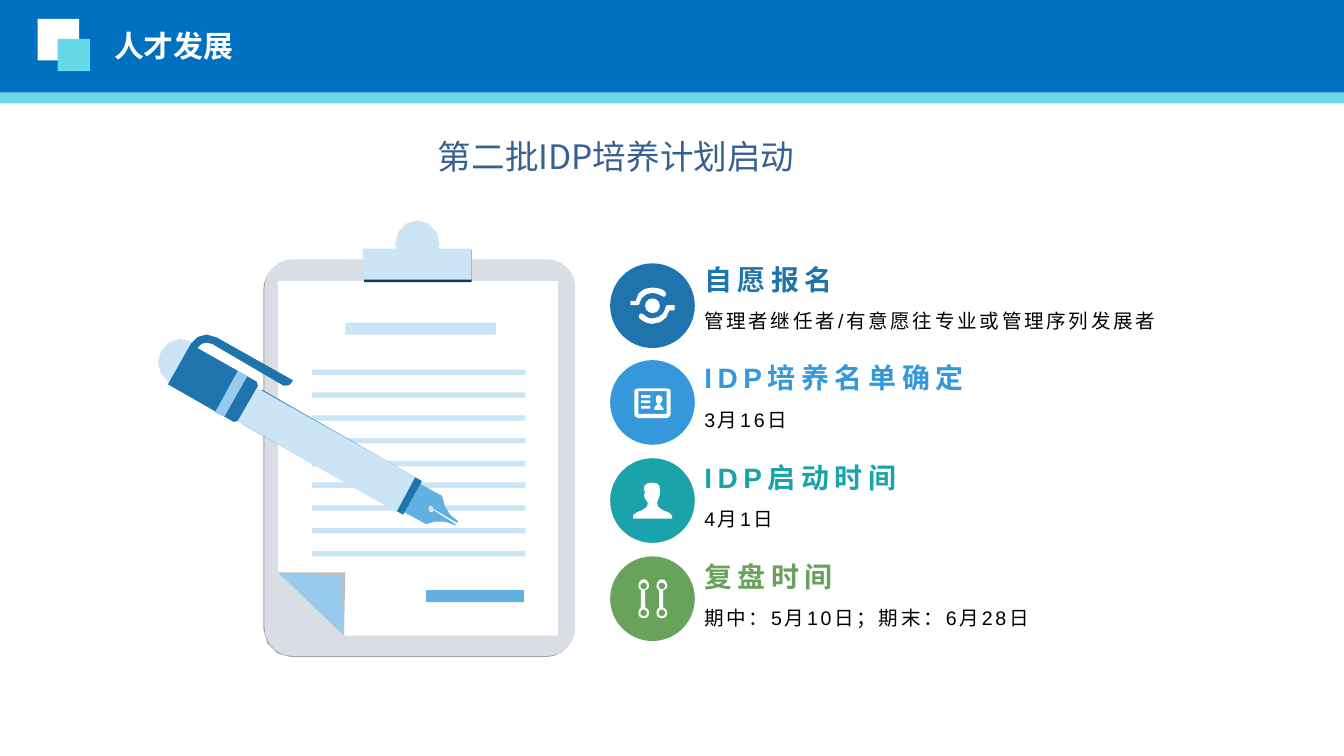
from dataclasses import dataclass

from pptx import Presentation
from pptx.dml.color import RGBColor
from pptx.enum.shapes import MSO_SHAPE
from pptx.enum.text import MSO_AUTO_SIZE
from pptx.oxml.ns import qn
from pptx.util import Pt

RECT = MSO_SHAPE.RECTANGLE
OVAL = MSO_SHAPE.OVAL
ROUNDED = MSO_SHAPE.ROUNDED_RECTANGLE
GROW = MSO_AUTO_SIZE.SHAPE_TO_FIT_TEXT

PX = 9144  # EMU per px, 100 px to the inch
CURVE_STEPS = 3


@dataclass(frozen=True)
class Theme:
    cjk: str = "Noto Sans CJK SC"
    latin: str = "Arial"
    white: str = "FFFFFF"
    black: str = "000000"
    banner: str = "0070C0"
    accent: str = "66D9E8"
    title: str = "376092"
    navy: str = "1F74AD"
    blue: str = "3498DB"
    teal: str = "1AA3AA"
    green: str = "69A35B"
    pale: str = "CBE5F6"
    light: str = "97CAEC"
    mid: str = "63B0E3"
    board: str = "D9DDE4"
    edge: str = "A6A6A6"
    fold: str = "BFBFBF"
    clip_shade: str = "103A56"
    banner_size: float = 16
    title_size: float = 18
    head_size: float = 15
    body_size: float = 10.5


T = Theme()


def paint(s, color):
    s.shadow.inherit = False
    s.fill.solid()
    s.fill.fore_color.rgb = RGBColor.from_string(color)
    s.line.fill.background()
    return s


def add_block(shapes, kind, box, color):
    return paint(shapes.add_shape(kind, *(v * PX for v in box)), color)


def add_text(shapes, box, text, size, color, font, bold=False, spacing=0,
             insets=None, wrap=True, line_spacing=None, grow=False):
    tf = shapes.add_textbox(*(v * PX for v in box)).text_frame
    tf.word_wrap = wrap
    if grow:
        tf.auto_size = GROW
    if insets:
        tf.margin_left, tf.margin_top, tf.margin_right, tf.margin_bottom = (
            v * PX for v in insets)
    p = tf.paragraphs[0]
    if line_spacing:
        p.line_spacing = line_spacing
    r = p.add_run()
    r.text = text
    r.font.name, r.font.size, r.font.bold = font, Pt(size), bold
    r.font.color.rgb = RGBColor.from_string(color)
    rPr = r.font._element
    if spacing:
        rPr.set("spc", str(int(spacing * 100)))
    ea = rPr.makeelement(qn("a:ea"), {"typeface": T.cjk})
    rPr.find(qn("a:latin")).addnext(ea)


def flatten(contour):
    """Pairs are corners; six numbers are a cubic curve from the last point."""
    points = []
    for seg in contour:
        if len(seg) == 2:
            points.append(seg)
            continue
        x0, y0 = points[-1]
        x1, y1, x2, y2, x3, y3 = seg
        for i in range(1, CURVE_STEPS + 1):
            t = i / CURVE_STEPS
            a, b, c, d = (1-t)**3, 3*t*(1-t)**2, 3*t*t*(1-t), t**3
            points.append((a*x0 + b*x1 + c*x2 + d*x3,
                           a*y0 + b*y1 + c*y2 + d*y3))
    return [(x * PX, y * PX) for x, y in points]


def add_outline(shapes, color, *contours):
    """Inner contours cut holes in the outer ones."""
    first, *others = [flatten(c) for c in contours]
    fb = shapes.build_freeform(*first[0])
    fb.add_line_segments(first[1:], close=True)
    for points in others:
        fb.move_to(*points[0])
        fb.add_line_segments(points[1:], close=True)
    return paint(fb.convert_to_shape(), color)


def box_contour(left, top, right, bottom):
    return [(left, top), (right, top), (right, bottom), (left, bottom)]


def circle_contour(x, y, r):
    k = 0.55 * r
    return [(x - r, y), (x - r, y + k, x - k, y + r, x, y + r),
            (x + k, y + r, x + r, y + k, x + r, y),
            (x + r, y - k, x + k, y - r, x, y - r),
            (x - k, y - r, x - r, y - k, x - r, y)]


def link_contours(x):
    """Two ringed nodes joined by an upright bar."""
    body = [(x + 4, 436), (x + 4, 433, x + 2, 431, x, 431),
            (x - 2, 431, x - 4, 433, x - 4, 436),
            (x - 4, 437, x - 3, 439, x - 2, 439), (x - 2, 452),
            (x - 3, 453, x - 4, 454, x - 4, 456),
            (x - 4, 459, x - 2, 460, x, 460),
            (x + 2, 460, x + 4, 459, x + 4, 456),
            (x + 4, 454, x + 3, 453, x + 1, 452), (x + 1, 439),
            (x + 3, 439, x + 4, 437, x + 4, 436)]
    return [body, circle_contour(x, 436, 2.5), circle_contour(x, 456, 2.5)]


CYCLE = [
    circle_contour(485.5, 227.5, 5.5),
    [(476, 225), (477, 221, 481, 218, 485, 218), (488, 218, 490, 219, 492, 220),
     (493, 221, 495, 221, 495, 220), (496, 220, 496, 219, 495, 217),
     (493, 215, 489, 214, 485, 214), (479, 214, 474, 217, 473, 224),
     (469, 224), (469, 227), (474, 227), (476, 227, 476, 226, 476, 225)],
    [(497, 227), (495, 227, 495, 229, 495, 230), (494, 234, 490, 237, 485, 237),
     (483, 237, 481, 236, 479, 234), (478, 233, 476, 233, 476, 234),
     (475, 235, 475, 236, 476, 237), (478, 239, 482, 241, 485, 241),
     (492, 241, 497, 237, 498, 231), (502, 231), (502, 227)],
]
CARD = [
    [(496, 289), (475, 289), (473, 289, 472, 290, 472, 291), (472, 308),
     (472, 309, 473, 311, 475, 311), (496, 311),
     (498, 311, 499, 309, 499, 308), (499, 291),
     (499, 290, 498, 289, 496, 289)],
    box_contour(475, 291, 496, 308),
    *(box_contour(477, y, 484, y + 2) for y in (294, 298, 302)),
    [(493, 303), (491, 301), (491, 300, 493, 299, 493, 297),
     (493, 296, 492, 294, 490, 294), (488, 294, 488, 296, 488, 297),
     (488, 299, 489, 300, 489, 301), (487, 303), (487, 305), (494, 305)],
]
PERSON = [
    [(494, 380), (490, 378, 489, 377, 489, 374), (490, 371), (491, 368),
     (491, 364), (491, 362, 491, 359, 485, 359), (480, 359, 479, 362, 479, 364),
     (480, 367), (479, 368), (480, 371), (482, 374),
     (482, 377, 481, 378, 477, 380), (473, 381, 471, 383, 471, 384),
     (471, 386), (500, 386), (500, 384), (500, 383, 498, 381, 494, 380)],
]
LINKS = link_contours(479) + link_contours(492.5)

STEPS = [
    ("自愿报名", "管理者继任者/有意愿往专业或管理序列发展者", T.navy, CYCLE),
    ("IDP培养名单确定", "3月16日", T.blue, CARD),
    ("IDP启动时间", "4月1日", T.teal, PERSON),
    ("复盘时间", "期中：5月10日；期末：6月28日", T.green, LINKS),
]


def draw_banner(shapes):
    add_block(shapes, RECT, (0, 0, 1000, 69), T.banner)
    add_block(shapes, RECT, (0, 69, 1000, 8), T.accent)
    add_text(shapes, (75, 16, 425, 37), "人才发展", T.banner_size, T.white,
             T.cjk, bold=True, grow=True)
    add_block(shapes, RECT, (28, 14, 31, 31), T.white)
    add_block(shapes, RECT, (43, 29, 24, 24), T.accent)


def draw_step(shapes, i, head, body, color, icon):
    top = int(184 + 73.7 * i)
    add_text(shapes, (517, top, 445, 38), head, T.head_size, color, T.latin,
             bold=True, spacing=3, insets=(7, 4, 7, 0), wrap=False,
             line_spacing=1.3)
    add_text(shapes, (517, top + 41, 445, 30), body, T.body_size, T.black,
             T.latin, spacing=1.5, insets=(7, 0, 7, 4), line_spacing=1.3)
    add_block(shapes, OVAL, (454, int(196 + 72.8 * i), 63, 63), color)
    add_outline(shapes, T.white, *icon)


def draw_clipboard(shapes):
    # Board with its shaded edge
    add_outline(shapes, T.edge, [
        (201, 202), (198, 205, 196, 210, 196, 216), (196, 468),
        (196, 480, 206, 489, 217, 489), (406, 489),
        (413, 489, 419, 486, 423, 480), (419, 485, 413, 488, 407, 488),
        (219, 488), (207, 488, 197, 478, 197, 467), (197, 214),
        (197, 210, 199, 205, 201, 202)])
    board = add_block(shapes, ROUNDED, (197, 193, 231, 295), T.board)
    board.adjustments[0] = 0.09
    # Sheet and its written lines
    add_outline(shapes, T.white, [(256, 473), (415, 473), (415, 209),
                                  (207, 209), (207, 426)])
    add_block(shapes, RECT, (317, 439, 73, 9), T.mid)
    for i in range(9):
        add_block(shapes, RECT, (232, 275 + round(16.9 * i), 159, 4), T.pale)
    add_block(shapes, RECT, (257, 240, 112, 9), T.pale)
    # Folded corner
    add_outline(shapes, T.fold, [(257, 426), (207, 426), (256, 473)])
    add_outline(shapes, T.light, [(254, 429), (207, 426), (256, 473)])
    # Clip
    add_block(shapes, RECT, (271, 186, 80, 24), T.clip_shade)
    add_outline(shapes, T.pale, [
        (326, 185), (327, 184, 327, 182, 327, 181),
        (327, 172, 320, 164, 310, 164), (302, 164, 294, 172, 294, 181),
        (294, 182, 295, 184, 295, 185), (270, 185), (270, 208), (351, 208),
        (351, 185)])


def draw_pen(shapes):
    # Nib
    add_outline(shapes, T.mid, [
        (301, 367), (295, 378), (317, 390), (324, 387, 332, 387, 339, 391),
        (339, 390), (323, 380), (322, 381, 321, 381, 320, 381),
        (319, 380, 319, 378, 319, 377), (320, 376, 321, 376, 322, 377),
        (323, 379), (340, 389), (341, 388),
        (334, 384, 330, 377, 329, 369), (307, 357)])
    # Collar and barrel
    add_outline(shapes, T.navy, [(314, 358), (300, 383), (181, 316), (195, 290)])
    add_outline(shapes, T.pale, [(309, 355), (295, 381), (176, 313), (190, 288)])
    # Cap end, cap with its clip, and band
    add_outline(shapes, T.pale, [
        (125, 284), (126, 285), (143, 254), (142, 254),
        (135, 250, 124, 253, 120, 261), (115, 269, 118, 279, 125, 284)])
    add_outline(shapes, T.navy, [
        (142, 256), (125, 286), (174, 314), (177, 313), (192, 287), (191, 284),
        (147, 259), (149, 255, 154, 254, 158, 256), (211, 287),
        (213, 287, 215, 287, 216, 286), (218, 283), (161, 251),
        (154, 247, 146, 249, 142, 256)])
    add_outline(shapes, T.light, [(167, 310), (184, 280), (177, 276), (160, 307)])


def main():
    prs = Presentation()
    prs.slide_width, prs.slide_height = 1000 * PX, 1125 * PX // 2
    shapes = prs.slides.add_slide(prs.slide_layouts[6]).shapes
    draw_banner(shapes)
    add_text(shapes, (316, 96, 346, 40), "第二批IDP培养计划启动", T.title_size,
             T.title, T.cjk, grow=True)
    for i, step in enumerate(STEPS):
        draw_step(shapes, i, *step)
    draw_clipboard(shapes)
    draw_pen(shapes)
    prs.save("out.pptx")


if __name__ == "__main__":
    main()
